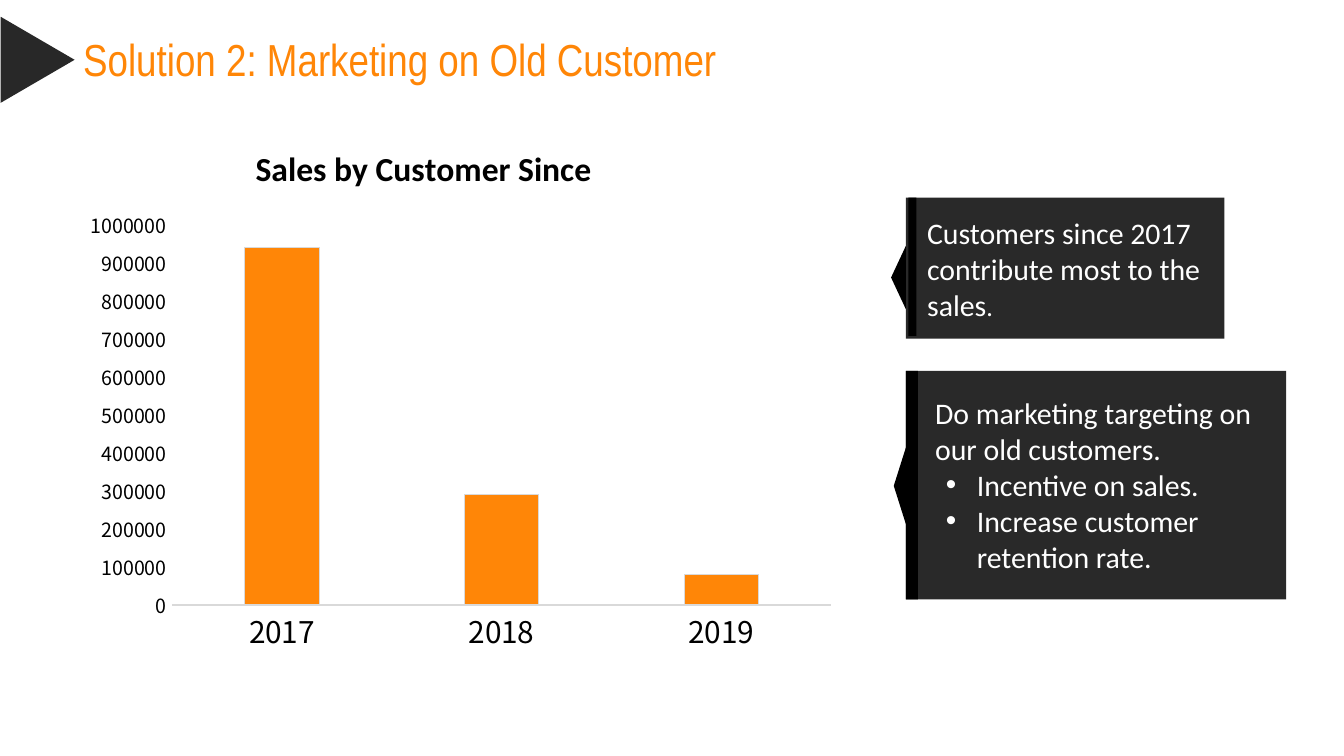
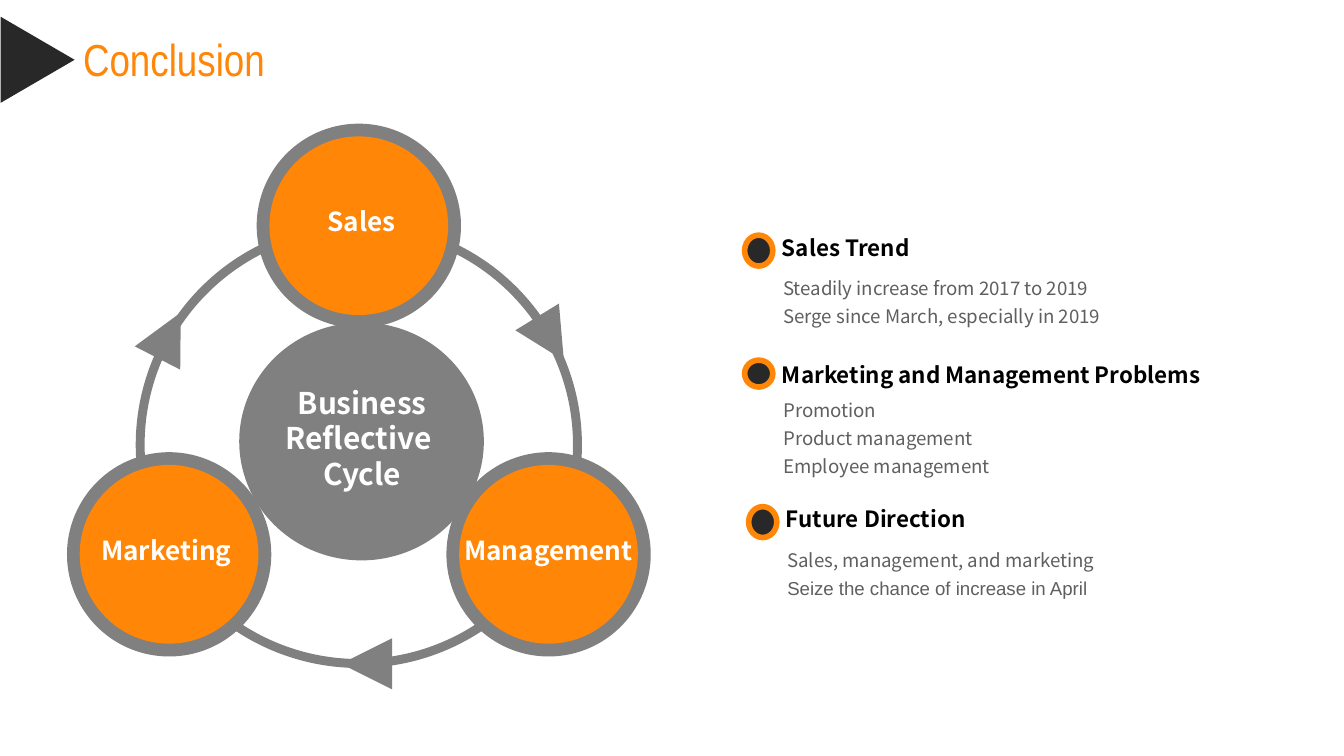
import math

import pptx
import pptx.chart.data
import pptx.dml.color
import pptx.enum.chart
import pptx.enum.shapes
import pptx.enum.text
import pptx.oxml
import pptx.oxml.ns
import pptx.util

Inches = pptx.util.Inches
Pt = pptx.util.Pt
RGBColor = pptx.dml.color.RGBColor
SHAPE = pptx.enum.shapes.MSO_SHAPE
ALIGN = pptx.enum.text.PP_ALIGN

ORANGE = RGBColor(0xFF, 0x86, 0x07)
DARK = RGBColor(0x28, 0x28, 0x28)
PANEL = RGBColor(0x29, 0x29, 0x29)
BLACK = RGBColor(0, 0, 0)
WHITE = RGBColor(0xFF, 0xFF, 0xFF)
GRAY = RGBColor(0x80, 0x80, 0x80)
BODY_GRAY = RGBColor(0x5F, 0x5F, 0x5F)
AXIS_GRAY = RGBColor(0xD9, 0xD9, 0xD9)

TITLE_FONT = "Arial Narrow"
PANEL_FONT = "Calibri"
BASE_FONT = "Noto Sans CJK SC"


def set_font(font, name, size, color, bold=False):
    font.name = name
    font.size = Pt(size)
    font.color.rgb = color
    font.bold = bold


def add_shape(slide, kind, x, y, w, h, fill, rotation=0, line=None):
    sp = slide.shapes.add_shape(kind, Inches(x), Inches(y), Inches(w), Inches(h))
    sp.shadow.inherit = False
    sp.rotation = rotation
    sp.fill.solid()
    sp.fill.fore_color.rgb = fill
    if line:
        sp.line.color.rgb = line
        sp.line.width = Pt(3)
    else:
        sp.line.fill.background()
    return sp


def add_text(slide, x, y, w, h, lines, font, size, color, bold=False,
             align=None, spacing=None, wrap=True):
    box = slide.shapes.add_textbox(Inches(x), Inches(y), Inches(w), Inches(h))
    tf = box.text_frame
    tf.word_wrap = wrap
    tf.auto_size = pptx.enum.text.MSO_AUTO_SIZE.SHAPE_TO_FIT_TEXT
    tf.text = "\n".join(lines)
    for p in tf.paragraphs:
        p.alignment = align
        if spacing:
            p.line_spacing = Pt(spacing)
        for r in p.runs:
            set_font(r.font, font, size, color, bold)
    return tf


def add_bullet(p):
    p_pr = p._p.get_or_add_pPr()
    p_pr.set("marL", str(Inches(0.31)))
    p_pr.set("indent", str(Inches(-0.23)))
    ns = pptx.oxml.ns.nsdecls("a")
    for xml in (f'<a:buFont {ns} typeface="Arial"/>', f'<a:buChar {ns} char="•"/>'):
        p_pr.append(pptx.oxml.parse_xml(xml))


def add_titled_slide(prs, title, width):
    slide = prs.slides.add_slide(prs.slide_layouts[6])
    add_text(slide, 0.52, 0.19, width, 0.5, [title], TITLE_FONT, 24, ORANGE, wrap=False)
    add_shape(slide, SHAPE.ISOSCELES_TRIANGLE, -0.04, 0.17, 0.64, 0.55, DARK, 90)
    return slide


def layout_xml(x, y, w=None, h=None):
    """Manual chart layout, in fractions of the chart's box."""
    parts = '<c:layoutTarget val="inner"/>' if w else ""
    parts += '<c:xMode val="edge"/><c:yMode val="edge"/>'
    for tag, value in zip("xywh", (x, y, w, h)):
        if value is not None:
            parts += f'<c:{tag} val="{value}"/>'
    return pptx.oxml.parse_xml(
        f'<c:layout {pptx.oxml.ns.nsdecls("c")}>'
        f"<c:manualLayout>{parts}</c:manualLayout></c:layout>")


def replace_layout(parent, layout, index):
    for old in parent.findall(pptx.oxml.ns.qn("c:layout")):
        parent.remove(old)
    parent.insert(index, layout)


def add_sales_chart(slide, x, y, w, h):
    data = pptx.chart.data.CategoryChartData()
    data.categories = ["2017", "2018", "2019"]
    data.add_series("Series 1", (940000, 290000, 80000))
    chart = slide.shapes.add_chart(
        pptx.enum.chart.XL_CHART_TYPE.COLUMN_CLUSTERED,
        Inches(x), Inches(y), Inches(w), Inches(h), data).chart
    chart.has_legend = False
    set_font(chart.font, BASE_FONT, 10, BLACK)

    chart.has_title = True
    tf = chart.chart_title.text_frame
    tf.text = "Sales by Customer Since"
    set_font(tf.paragraphs[0].runs[0].font, PANEL_FONT, 18, BLACK, True)
    replace_layout(chart.chart_title._element, layout_xml(0.23, 0.02), 1)
    replace_layout(chart._chartSpace.chart.plotArea,
                   layout_xml(0.13, 0.18, 0.85, 0.71), 0)

    for axis, size in ((chart.category_axis, 16), (chart.value_axis, 10.5)):
        axis.major_tick_mark = pptx.enum.chart.XL_TICK_MARK.NONE
        axis.minor_tick_mark = pptx.enum.chart.XL_TICK_MARK.NONE
        axis.has_major_gridlines = False
        set_font(axis.tick_labels.font, BASE_FONT, size, BLACK)
    chart.category_axis.format.line.color.rgb = AXIS_GRAY
    chart.category_axis.format.line.width = Pt(0.75)
    values = chart.value_axis
    values.format.line.fill.background()
    values.minimum_scale, values.maximum_scale = 0, 1000000
    values.major_unit = 100000

    plot = chart.plots[0]
    plot.gap_width, plot.overlap = 195, 21
    plot.vary_by_categories = False
    columns = plot.series[0].format
    columns.fill.solid()
    columns.fill.fore_color.rgb = ORANGE
    columns.line.color.rgb = AXIS_GRAY
    columns.line.width = Pt(0)


def add_callout(slide, x, y, w, h, bar, pointer, text_box, lines):
    """Dark panel; bar, pointer and text boxes are relative to its corner."""
    add_shape(slide, SHAPE.RECTANGLE, x, y, w, h, PANEL)
    for kind, (dx, dy, pw, ph), turn in ((SHAPE.RECTANGLE, bar, 0),
                                         (SHAPE.ISOSCELES_TRIANGLE, pointer, 270)):
        add_shape(slide, kind, x + dx, y + dy, pw, ph, BLACK, turn)
    dx, dy, tw, th = text_box
    return add_text(slide, x + dx, y + dy, tw, th, lines, PANEL_FONT, 16, WHITE)


def add_cycle(slide, x, y, size):
    """Ring of three nodes around a hub, inside a square box."""
    cx, cy, radius = x + size / 2, y + size / 2, size / 2 - 0.03

    def on_ring(angle):
        a = math.radians(angle)
        return cx + radius * math.sin(a), cy - radius * math.cos(a)

    def centred(kind, center, d, fill, rotation=0):
        return add_shape(slide, kind, center[0] - d / 2, center[1] - d / 2,
                         d, d, fill, rotation)

    add_shape(slide, SHAPE.OVAL, cx - 0.89, cy - 0.91, 1.82, 1.77, GRAY)
    add_text(slide, cx - 0.85, cy - 0.5, 1.75, 0.97, ["Business Reflective ", "Cycle"],
             BASE_FONT, 16, WHITE, True, ALIGN.CENTER)

    nodes = (("Sales", 0, 0.02), ("Management", 120, 0), ("Marketing", 240, -0.02))
    for _, angle, _ in nodes:
        centred(SHAPE.OVAL, on_ring(angle), 1.52, GRAY)
    ring = centred(SHAPE.DONUT, (cx, cy), size, GRAY)
    ring.adjustments[0] = 0.02
    for angle, rotation in ((61, 148.5), (178, 270), (300, 27.1)):
        centred(SHAPE.ISOSCELES_TRIANGLE, on_ring(angle), 0.38, GRAY, rotation)
    for label, angle, shift in nodes:
        nx, ny = on_ring(angle)
        centred(SHAPE.OVAL, (nx, ny), 1.33, ORANGE)
        add_text(slide, nx + shift - 0.9, ny - 0.2, 1.8, 0.34, [label],
                 BASE_FONT, 14, WHITE, True, ALIGN.CENTER)


def add_topic(slide, x, y, dot_dy, dot_h, body_dy, heading, lines):
    add_shape(slide, SHAPE.OVAL, x, y + dot_dy, 0.21, dot_h, DARK, line=ORANGE)
    add_text(slide, x + 0.18, y, 3.87, 0.33, [heading], BASE_FONT, 12, BLACK, True)
    return add_text(slide, x + 0.19, y + body_dy, 3.6, 0.08 + 0.21 * len(lines), lines,
                    BASE_FONT, 10, BODY_GRAY, align=ALIGN.JUSTIFY, spacing=15)


def build_marketing_slide(prs):
    slide = add_titled_slide(prs, "Solution 2: Marketing on Old Customer", 5.45)
    tf = add_callout(slide, 6.74, 2.76, 2.83, 1.7, (0, 0, 0.09, 1.7),
                     (-0.33, 0.81, 0.57, 0.09), (0.12, 0.13, 2.85, 1.45),
                     ["Do marketing targeting on our old customers.",
                      "Incentive on sales.", "Increase customer retention rate."])
    for p in tf.paragraphs[1:]:
        add_bullet(p)
    tf = add_callout(slide, 6.74, 1.47, 2.37, 1.05, (0.02, 0, 0.06, 1.03),
                     (-0.29, 0.54, 0.47, 0.11), (0.06, 0.08, 2.28, 0.91),
                     ["Customers since 2017 contribute most to the sales"])
    r = tf.paragraphs[0].add_run()
    r.text = "."
    set_font(r.font, PANEL_FONT, 14, WHITE)
    add_sales_chart(slide, 0.53, 0.96, 5.77, 3.98)


def build_conclusion_slide(prs):
    slide = add_titled_slide(prs, "Conclusion", 1.77)
    add_cycle(slide, 1.01, 1.65, 3.32)
    add_topic(slide, 5.54, 1.69, 0.06, 0.23, 0.28, "Sales Trend",
              ["Steadily increase from 2017 to 2019",
               "Serge since March, especially in 2019"])
    add_topic(slide, 5.54, 2.64, 0.04, 0.2, 0.24, "Marketing and Management Problems",
              ["Promotion", "Product management", "Employee management"])
    tf = add_topic(slide, 5.57, 3.71, 0.06, 0.23, 0.28, "Future Direction",
                   ["Sales, management, and marketing",
                    "Seize the chance of increase in April"])
    tf.paragraphs[1].runs[0].font.name = "Arial"


def main():
    prs = pptx.Presentation()
    prs.slide_width = Inches(10)
    prs.slide_height = prs.slide_width * 9 // 16
    build_marketing_slide(prs)
    build_conclusion_slide(prs)
    prs.save("out.pptx")


if __name__ == "__main__":
    main()
